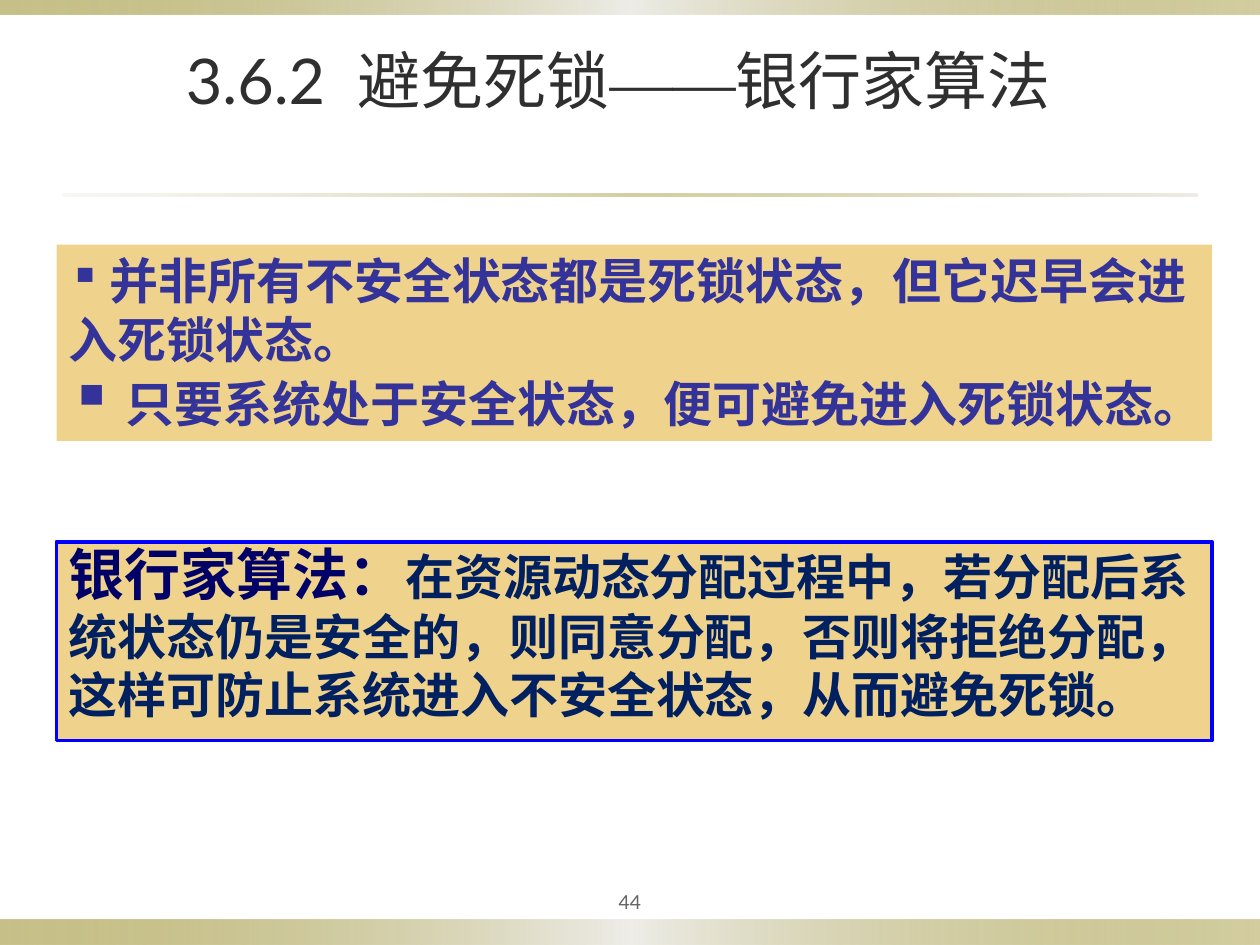
import pptx
import pptx.util
import pptx.dml.color
import pptx.enum.shapes
import pptx.enum.text
import pptx.oxml
import pptx.oxml.ns
from pptx.util import Cm, Pt

COLORS = {
    "olive": "918415", "pale": "EEEDE8", "mist": "DCD9CC",
    "title": "2F2F2F", "number": "636363", "sand": "EFD28C",
    "indigo": "333399", "blue": "0000FF", "navy": "000066", "body": "002060",
}
LATIN, CJK, SERIF = "Lato", "Noto Sans CJK SC", "Times New Roman"
BAND = [(0, "olive", 50), (50, "pale", 100), (100, "olive", 40)]
RULE = [(0, "mist", 20), (50, "olive", 40), (100, "mist", 50)]
ALIGN = pptx.enum.text.PP_ALIGN
ANCHOR = pptx.enum.text.MSO_ANCHOR


def rgb(name):
    return pptx.dml.color.RGBColor.from_string(COLORS[name])


def add_rect(slide, box):
    sp = slide.shapes.add_shape(
        pptx.enum.shapes.MSO_SHAPE.RECTANGLE, *[Cm(v) for v in box])
    sp.shadow.inherit = False
    sp.line.fill.background()
    return sp


def gradient_bar(slide, box, stops):
    sp = add_rect(slide, box)
    sp.fill.background()
    stop_xml = "".join(
        f'<a:gs pos="{pos * 1000}"><a:srgbClr val="{COLORS[color]}">'
        f'<a:alpha val="{alpha * 1000}"/></a:srgbClr></a:gs>'
        for pos, color, alpha in stops)
    grad = pptx.oxml.parse_xml(
        f'<a:gradFill {pptx.oxml.ns.nsdecls("a")} rotWithShape="1">'
        f'<a:gsLst>{stop_xml}</a:gsLst><a:lin ang="0" scaled="0"/></a:gradFill>')
    no_fill = sp._element.spPr.find(pptx.oxml.ns.qn("a:noFill"))
    no_fill.getparent().replace(no_fill, grad)


def add_runs(p, runs, bold=False):
    """Each run is (text, size, font, colour)."""
    for text, size, font, color in runs:
        r = p.add_run()
        r.text = text
        r.font.size, r.font.name, r.font.bold = Pt(size), font, bold
        r.font.color.rgb = rgb(color)
        ea = r._r.get_or_add_rPr().makeelement(
            pptx.oxml.ns.qn("a:ea"), {"typeface": font})
        r.font._element.find(pptx.oxml.ns.qn("a:latin")).addnext(ea)


def add_bullet(p):
    pPr = p._p.get_or_add_pPr()
    for tag, attrs in (("a:buSzPct", {"val": "125000"}),
                       ("a:buChar", {"char": "▪"})):
        pPr.append(pPr.makeelement(pptx.oxml.ns.qn(tag), attrs))


def centered_text(slide, box, runs):
    tf = slide.shapes.add_textbox(*[Cm(v) for v in box]).text_frame
    tf.word_wrap = True
    tf.vertical_anchor = ANCHOR.MIDDLE
    tf.paragraphs[0].alignment = ALIGN.CENTER
    add_runs(tf.paragraphs[0], runs)


def text_panel(slide, box, paragraphs, space_before, bullets=False, outline=None):
    sp = add_rect(slide, box)
    sp.fill.solid()
    sp.fill.fore_color.rgb = rgb("sand")
    if outline:
        sp.line.color.rgb = rgb(outline)
        sp.line.width = Pt(2.25)
    tf = sp.text_frame
    tf.word_wrap = True
    tf.vertical_anchor = ANCHOR.TOP
    for i, runs in enumerate(paragraphs):
        p = tf.add_paragraph() if i else tf.paragraphs[0]
        p.alignment = ALIGN.LEFT
        p.line_spacing = Pt(33.5)
        p.space_before = Pt(space_before)
        if bullets:
            add_bullet(p)
        add_runs(p, runs, bold=True)


prs = pptx.Presentation()
prs.slide_width, prs.slide_height = Cm(25.4), Cm(19.05)
slide = prs.slides.add_slide(prs.slide_layouts[6])

# Bands and rule
gradient_bar(slide, (0, 18.54, 25.4, 0.51), BAND)
gradient_bar(slide, (0, 0, 25.4, 0.3), BAND)
gradient_bar(slide, (1.27, 3.91, 22.86, 0.05), RULE)

# Title and slide number
centered_text(slide, (0.64, 0.64, 23.93, 1.93), [
    ("3.6.2  ", 36, LATIN, "title"),
    ("避免死锁", 36, CJK, "title"),
    ("——", 36, SERIF, "title"),
    ("银行家算法 ", 36, CJK, "title"),
])
centered_text(slide, (11.43, 17.78, 2.54, 0.79), [("44", 11, LATIN, "number")])

# Safe and unsafe states
text_panel(slide, (1.14, 4.93, 23.29, 3.96), [
    [(" ", 20, CJK, "indigo"),
     ("并非所有不安全状态都是死锁状态，但它迟早会进入死锁状态。", 28, CJK, "indigo")],
    [(" 只要系统处于安全状态，便可避免进入死锁状态。", 28, CJK, "indigo")],
], space_before=3, bullets=True)

# Banker's algorithm
text_panel(slide, (1.14, 10.92, 23.29, 4.01), [
    [("银行家算法：", 32, CJK, "navy"),
     ("在资源动态分配过程中，若分配后系统状态仍是安全的，则同意分配，"
      "否则将拒绝分配，这样可防止系统进入不安全状态，从而避免死锁。", 28, CJK, "body")],
], space_before=7, outline="blue")

prs.save("out.pptx")
